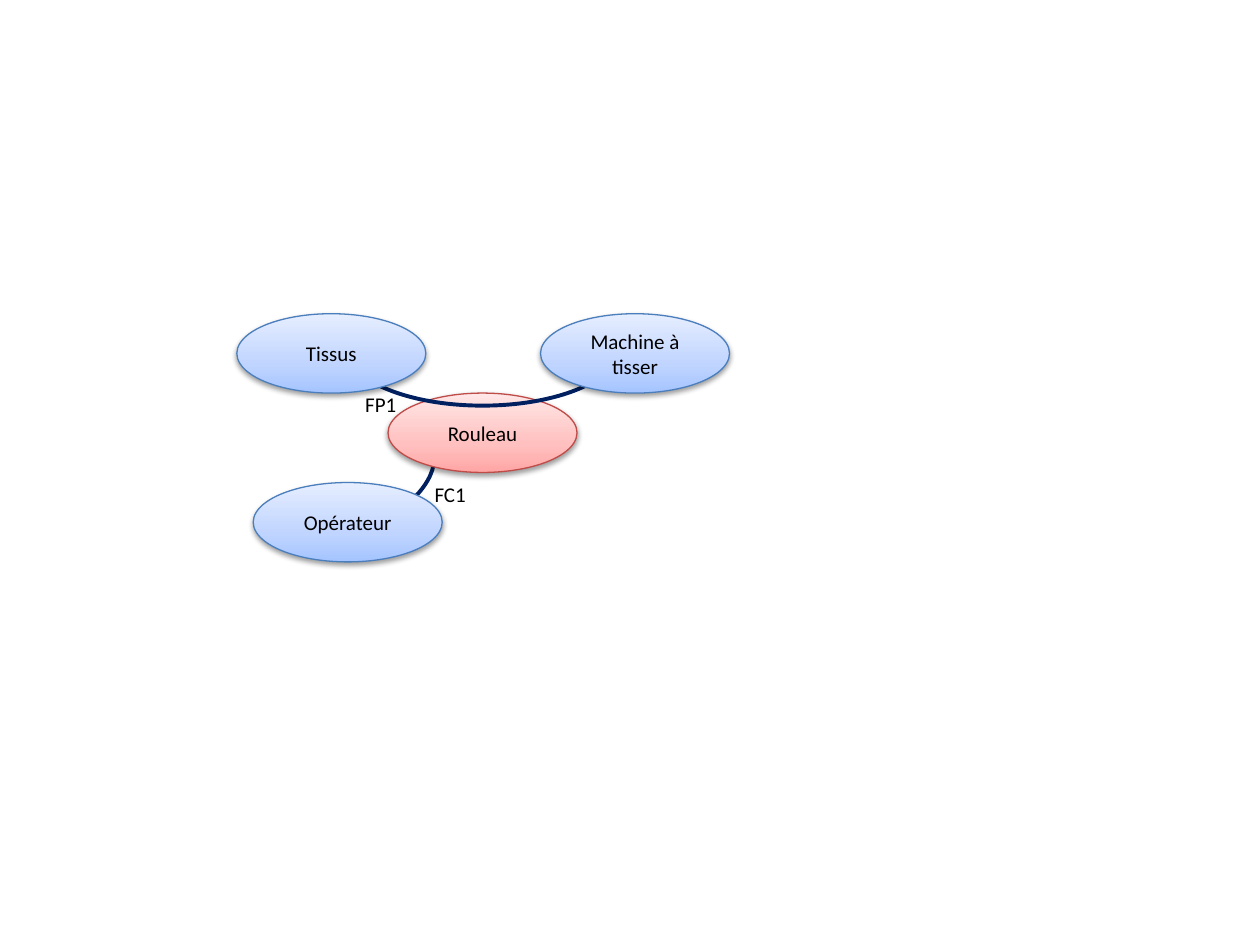
from copy import deepcopy
from dataclasses import dataclass

from lxml import etree
from pptx import Presentation
from pptx.dml.color import RGBColor
from pptx.enum import shapes, text
from pptx.oxml import ns
from pptx.util import Inches, Pt


@dataclass(frozen=True)
class Tone:
    line: str
    stops: tuple[str, str, str]


@dataclass(frozen=True)
class Theme:
    font: str = "Calibri"
    size: float = 12
    ink: str = "000000"
    link: str = "002060"
    thick: float = 2.25
    thin: float = 0.75
    blue: Tone = Tone("4B7EBC", ("A4C4FF", "BFD4FF", "E6EEFF"))
    red: Tone = Tone("BF4C48", ("FFA6A5", "FFC0BF", "FFE7E7"))


@dataclass(frozen=True)
class Node:
    name: str
    left: float
    top: float
    tone: Tone


@dataclass(frozen=True)
class Arc:
    left: float
    top: float
    width: float
    height: float
    turn: float = 0


@dataclass(frozen=True)
class Label:
    name: str
    left: float
    top: float


THEME = Theme()
NODE_W, NODE_H = 1.5, 0.63
LABEL_W, LABEL_H = 0.92, 0.3
STOPS = (0, 0.35, 1)

# Parts from back to front
PARTS = (
    Arc(2.65, 3.61, 0.86, 0.45, turn=321.3),
    Node("Rouleau", 3.08, 3.12, THEME.red),
    Node("Opérateur", 2.01, 3.83, THEME.blue),
    Arc(2.74, 2.29, 2.18, 0.93),
    Node("Tissus", 1.88, 2.49, THEME.blue),
    Node("Machine à tisser", 4.29, 2.49, THEME.blue),
    Label("FP1", 2.8, 3.06),
    Label("FC1", 3.35, 3.77),
)


def write(frame, words: str, *, align=text.PP_ALIGN.LEFT,
          anchor=text.MSO_ANCHOR.TOP) -> None:
    frame.word_wrap = True
    frame.vertical_anchor = anchor
    par = frame.paragraphs[0]
    par.alignment = align
    run = par.add_run()
    run.text = words
    run.font.name = THEME.font
    run.font.size = Pt(THEME.size)
    run.font.color.rgb = RGBColor.from_string(THEME.ink)


def add_form(slide, kind, box: tuple, color: str, width: float):
    form = slide.shapes.add_shape(kind, *map(Inches, box))
    form.shadow.inherit = False
    form.line.color.rgb = RGBColor.from_string(color)
    form.line.width = Pt(width)
    return form


def blend(form, tone: Tone) -> None:
    form.fill.gradient()
    form.fill.gradient_angle = 90
    # The default gradient has two stops; add the third
    stops = form._element.spPr.find(".//" + ns.qn("a:gsLst"))
    stops.append(deepcopy(stops[-1]))
    for stop, place, color in zip(form.fill.gradient_stops, STOPS, tone.stops):
        stop.position = place
        stop.color.rgb = RGBColor.from_string(color)


def shade(form) -> None:
    effects = form._element.spPr.find(ns.qn("a:effectLst"))
    drop = etree.SubElement(effects, ns.qn("a:outerShdw"), blurRad="40000",
                            dist="20000", dir="5400000", rotWithShape="0")
    color = etree.SubElement(drop, ns.qn("a:srgbClr"), val=THEME.ink)
    etree.SubElement(color, ns.qn("a:alpha"), val="38000")


def draw_node(slide, node: Node) -> None:
    form = add_form(slide, shapes.MSO_SHAPE.OVAL,
                    (node.left, node.top, NODE_W, NODE_H),
                    node.tone.line, THEME.thin)
    blend(form, node.tone)
    shade(form)
    write(form.text_frame, node.name, align=text.PP_ALIGN.CENTER,
          anchor=text.MSO_ANCHOR.MIDDLE)


def draw_arc(slide, arc: Arc) -> None:
    form = add_form(slide, shapes.MSO_SHAPE.ARC,
                    (arc.left, arc.top, arc.width, arc.height),
                    THEME.link, THEME.thick)
    form.fill.background()
    form.adjustments[0] = 105.83
    form.adjustments[1] = 0
    form.rotation = arc.turn
    form._element.spPr.find(ns.qn("a:xfrm")).set("flipV", "1")


def draw_label(slide, label: Label) -> None:
    box = slide.shapes.add_textbox(Inches(label.left), Inches(label.top),
                                   Inches(LABEL_W), Inches(LABEL_H))
    write(box.text_frame, label.name)
    box.text_frame.auto_size = text.MSO_AUTO_SIZE.SHAPE_TO_FIT_TEXT


def main() -> None:
    deck = Presentation()
    deck.slide_width, deck.slide_height = Inches(10), Inches(7.5)
    slide = deck.slides.add_slide(deck.slide_layouts[6])
    draw = {Node: draw_node, Arc: draw_arc, Label: draw_label}
    for part in PARTS:
        draw[type(part)](slide, part)
    deck.save("out.pptx")


if __name__ == "__main__":
    main()
